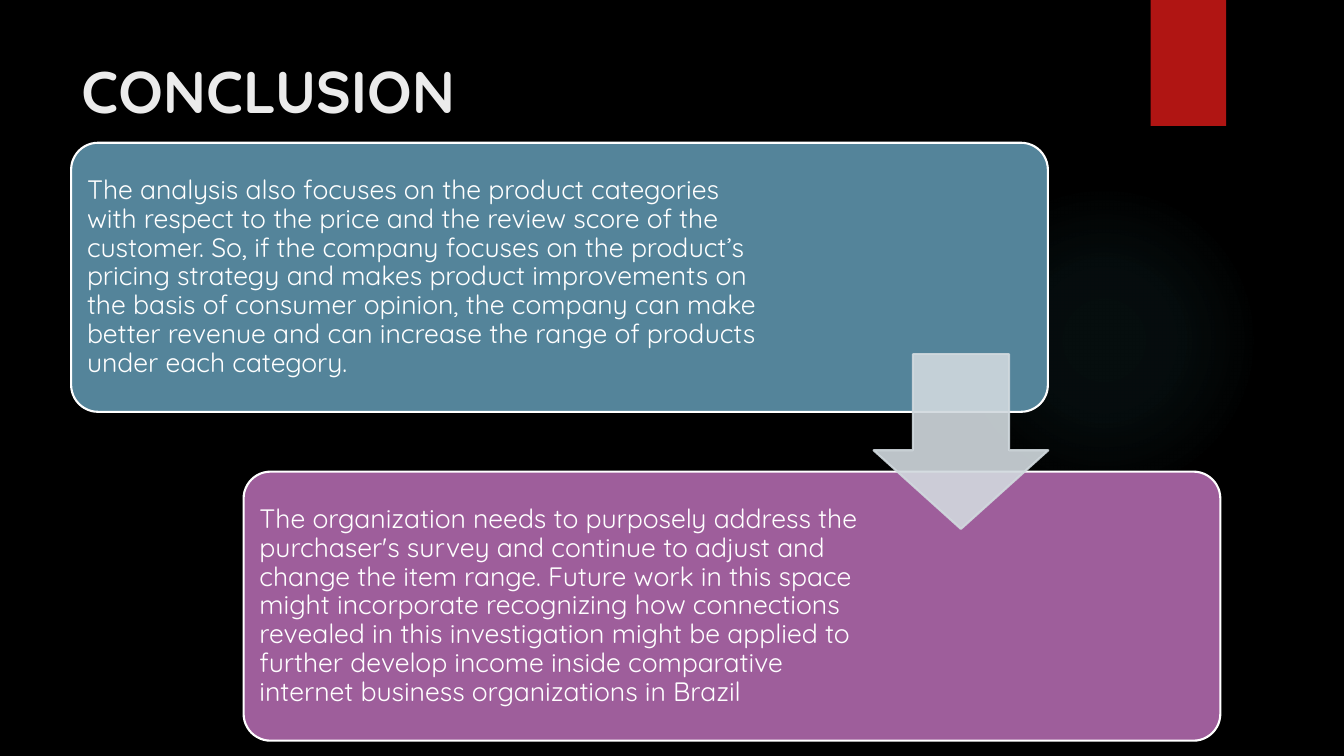
"""Build the conclusion slide: two stepped panels joined by a down arrow."""
from dataclasses import dataclass

from lxml.etree import SubElement
from pptx import Presentation
from pptx.dml.color import RGBColor
from pptx.enum.shapes import MSO_SHAPE as Preset
from pptx.enum.text import MSO_ANCHOR as Anchor, MSO_AUTO_SIZE as AutoSize, PP_ALIGN as Align
from pptx.oxml import parse_xml
from pptx.oxml.ns import nsdecls, qn
from pptx.shapes.autoshape import Shape
from pptx.slide import Slide
from pptx.util import Pt

FONT = "Quicksand"
COLOURS = {
    "background": "000000",
    "glow": "50B9C1",
    "ribbon": "B01513",
    "title": "EBEBEB",
    "analysis": "54849A",
    "outlook": "9E5E9B",
    "arrow": "D1D9DE",
    "white": "FFFFFF",
}
GLOW_STOPS = ((0, 7), (36, 6), (69, 0))
PANEL_WIDTH, PANEL_HEIGHT = 697.7, 192.2
TEXT_OFFSET = 5.6
TEXT_INSET = 5.76


@dataclass(frozen=True)
class Block:
    """A preset shape with its place, size and colours."""
    preset: Preset
    left: float
    top: float
    width: float
    height: float
    fill: str
    line: str | None = None
    adjustments: tuple[float, ...] = ()


@dataclass(frozen=True)
class Panel:
    """A rounded panel and the statement it holds."""
    left: float
    top: float
    text_width: float
    fill: str
    statement: str


GLOW = Block(Preset.OVAL, 677.5, 131.8, 221.8, 221.8, "glow")
RIBBON = Block(Preset.RECTANGLE, 821.9, 0, 54, 90, "ribbon")
ARROW = Block(Preset.DOWN_ARROW, 624, 253, 124.8, 124.8, "arrow", "arrow", (0.55, 0.45))
PANELS = (
    Panel(50.8, 102, 500, "analysis",
          "The analysis also focuses on the product categories with respect to the price and "
          "the review score of the customer. So, if the company focuses on the product’s "
          "pricing strategy and makes product improvements on the basis of consumer opinion, "
          "the company can make better revenue and can increase the range of products under "
          "each category."),
    Panel(174, 336.9, 440, "outlook",
          "The organization needs to purposely address the purchaser's survey and continue to "
          "adjust and change the item range. Future work in this space might incorporate "
          "recognizing how connections revealed in this investigation might be applied to "
          "further develop income inside comparative internet business organizations in Brazil"),
)


def colour(key: str) -> RGBColor:
    """Look up a named colour."""
    return RGBColor.from_string(COLOURS[key])


def draw_block(slide: Slide, block: Block) -> Shape:
    """Draw a filled preset shape."""
    shape = slide.shapes.add_shape(
        block.preset, Pt(block.left), Pt(block.top), Pt(block.width), Pt(block.height))
    shape.shadow.inherit = False
    for index, value in enumerate(block.adjustments):
        shape.adjustments[index] = value
    shape.fill.solid()
    shape.fill.fore_color.rgb = colour(block.fill)
    if block.line:
        shape.line.color.rgb = colour(block.line)
        shape.line.width = Pt(1.5)
    else:
        shape.line.fill.background()
    return shape


def soften(shape: Shape, percent: int) -> None:
    """Make the solid fill and line partly transparent."""
    for tint in shape._element.spPr.iter(qn("a:srgbClr")):
        SubElement(tint, qn("a:alpha"), val=str(percent * 1000))


def apply_glow(shape: Shape) -> None:
    """Replace the solid fill with a fading radial gradient."""
    stops = "".join(
        f'<a:gs pos="{position * 1000}"><a:srgbClr val="{COLOURS["glow"]}">'
        f'<a:alpha val="{alpha * 1000}"/></a:srgbClr></a:gs>'
        for position, alpha in GLOW_STOPS)
    gradient = parse_xml(
        f'<a:gradFill {nsdecls("a")}><a:gsLst>{stops}</a:gsLst><a:path path="circle">'
        '<a:fillToRect l="50000" t="50000" r="50000" b="50000"/></a:path></a:gradFill>')
    properties = shape._element.spPr
    properties.replace(properties.find(qn("a:solidFill")), gradient)


def write_title(slide: Slide, wording: str) -> None:
    """Place and format the title placeholder."""
    title = slide.shapes.title
    title.left, title.top, title.width, title.height = Pt(51), Pt(35.6), Pt(741), Pt(110)
    frame = title.text_frame
    frame.text = wording
    frame.auto_size = AutoSize.NONE
    frame.vertical_anchor = Anchor.TOP
    paragraph = frame.paragraphs[0]
    paragraph.alignment = Align.LEFT
    paragraph.font.name, paragraph.font.size, paragraph.font.bold = FONT, Pt(42), True
    paragraph.font.color.rgb = colour("title")


def draw_panel(slide: Slide, panel: Panel) -> None:
    """Draw a panel with its statement on the left."""
    draw_block(slide, Block(Preset.ROUNDED_RECTANGLE, panel.left, panel.top, PANEL_WIDTH,
                            PANEL_HEIGHT, panel.fill, "white", (0.1,)))
    statement = slide.shapes.add_textbox(
        Pt(panel.left + TEXT_OFFSET), Pt(panel.top + TEXT_OFFSET),
        Pt(panel.text_width), Pt(PANEL_HEIGHT - 2 * TEXT_OFFSET))
    frame = statement.text_frame
    frame.word_wrap = True
    frame.vertical_anchor = Anchor.MIDDLE
    frame.margin_left = frame.margin_right = Pt(TEXT_INSET)
    frame.margin_top = frame.margin_bottom = Pt(TEXT_INSET)
    paragraph = frame.paragraphs[0]
    paragraph.text = panel.statement
    paragraph.line_spacing = 0.9
    paragraph.font.name, paragraph.font.size = FONT, Pt(19)
    paragraph.font.color.rgb = colour("white")


def main() -> None:
    """Build and save the slide."""
    deck = Presentation()
    deck.slide_width, deck.slide_height = Pt(960), Pt(540)
    slide = deck.slides.add_slide(deck.slide_layouts[5])
    slide.background.fill.solid()
    slide.background.fill.fore_color.rgb = colour("background")
    apply_glow(draw_block(slide, GLOW))
    draw_block(slide, RIBBON)
    write_title(slide, "CONCLUSION")
    for panel in PANELS:
        draw_panel(slide, panel)
    soften(draw_block(slide, ARROW), 90)
    deck.save("out.pptx")


if __name__ == "__main__":
    main()
